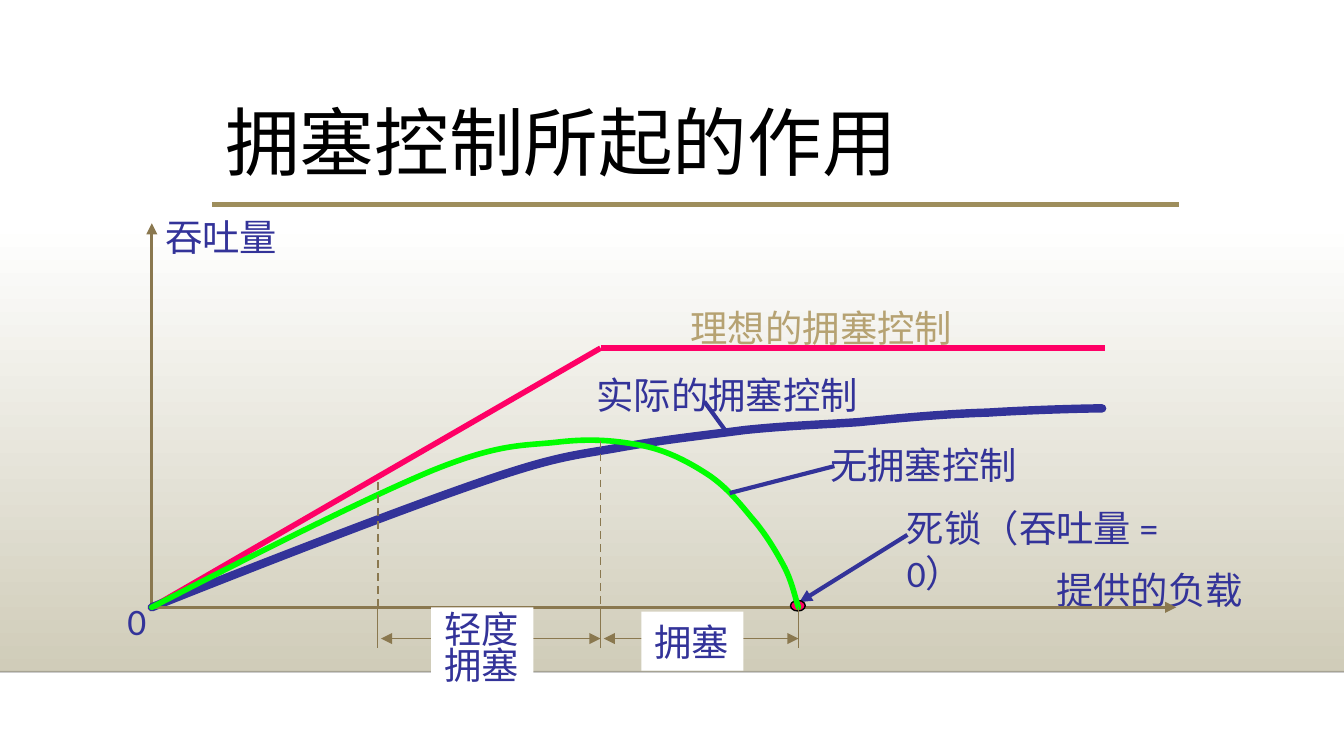
from lxml import etree
from pptx import Presentation
from pptx.dml.color import RGBColor
from pptx.enum.dml import MSO_LINE
from pptx.enum.shapes import MSO_CONNECTOR, MSO_SHAPE
from pptx.enum.text import MSO_ANCHOR
from pptx.oxml.ns import qn
from pptx.util import Cm, Pt

STRAIGHT = MSO_CONNECTOR.STRAIGHT
RECTANGLE, OVAL = MSO_SHAPE.RECTANGLE, MSO_SHAPE.OVAL
DASH = MSO_LINE.DASH
TOP, MIDDLE = MSO_ANCHOR.TOP, MSO_ANCHOR.MIDDLE

COLORS = {
    "white": "FFFFFF", "black": "000000", "band": "D0CCB9", "rule": "9E8E5C",
    "axis": "8A784F", "navy": "333399", "ideal": "FF0066",
    "ideal_label": "B6A272", "uncontrolled": "00FF00",
}

SLIDE_W, SLIDE_H = 25.4, 14.29
BAND_TOP, BAND_BOTTOM = 4.19, 12.7
ORIGIN_X, ORIGIN_Y = 2.87, 11.48
MILD_X, CONGESTED_X, DEADLOCK_X = 7.14, 11.35, 15.09
IDEAL_Y, SPAN_Y, TICK_BOTTOM = 6.58, 12.07, 12.24
LABEL_H = 1.12

# Bezier points after the origin: two controls and an end for each segment
CONTROLLED_CURVE = [
    (5.23, 10.54), (7.59, 9.63), (9.07, 9.12),
    (10.54, 8.61), (10.87, 8.61), (11.71, 8.46),
    (12.55, 8.31), (13.31, 8.23), (14.07, 8.13),
    (14.83, 8.05), (15.47, 8.03), (16.23, 7.98),
    (17.02, 7.9), (17.91, 7.82), (18.67, 7.8),
    (19.43, 7.75), (20.52, 7.72), (20.83, 7.72),
]
UNCONTROLLED_CURVE = [
    (4.88, 10.44), (6.91, 9.42), (8.18, 8.89),
    (9.45, 8.38), (9.86, 8.43), (10.52, 8.36),
    (11.18, 8.28), (11.68, 8.33), (12.17, 8.43),
    (12.65, 8.53), (13.06, 8.76), (13.41, 8.99),
    (13.74, 9.22), (13.97, 9.5), (14.2, 9.78),
    (14.45, 10.06), (14.66, 10.41), (14.81, 10.69),
    (14.96, 10.97), (15.01, 11.23), (DEADLOCK_X, ORIGIN_Y),
]


def rgb(name):
    return RGBColor.from_string(COLORS[name])


def write_text(frame, text, size=20, font="Calibri", color="navy",
               spacing=1.0, wrap=False, anchor=TOP):
    """Fill a text frame, one paragraph for each line of text."""
    frame.word_wrap = wrap
    frame.vertical_anchor = anchor
    frame.margin_left = frame.margin_right = Cm(0.25)
    frame.margin_top = frame.margin_bottom = Cm(0.13)
    frame.text = text
    for paragraph in frame.paragraphs:
        paragraph.line_spacing = spacing
        paragraph.font.size = Pt(size)
        paragraph.font.name = font
        paragraph.font.color.rgb = rgb(color)


class ThroughputDiagram:
    def __init__(self, slide):
        self.shapes = slide.shapes

    def stroke(self, line, color, width):
        line.color.rgb = rgb(color)
        line.width = Pt(width)

    def line(self, x1, y1, x2, y2, color="axis", width=0.75,
             dash=None, arrows=(), alpha=None):
        connector = self.shapes.add_connector(
            STRAIGHT, Cm(x1), Cm(y1), Cm(x2), Cm(y2))
        self.stroke(connector.line, color, width)
        if dash:
            connector.line.dash_style = dash
        properties = connector._element.spPr
        outline = properties.find(qn("a:ln"))
        for end in arrows:
            etree.SubElement(outline, qn(f"a:{end}"), type="triangle")
        if alpha:
            tint = outline.find(".//" + qn("a:srgbClr"))
            etree.SubElement(tint, qn("a:alpha"), val=str(alpha * 1000))
        etree.SubElement(properties, qn("a:effectLst"))

    def label(self, text, x, y, w, h=LABEL_H, **style):
        box = self.shapes.add_textbox(Cm(x), Cm(y), Cm(w), Cm(h))
        write_text(box.text_frame, text, **style)

    def shape(self, kind, x, y, w, h, fill="white", text="", **style):
        shape = self.shapes.add_shape(kind, Cm(x), Cm(y), Cm(w), Cm(h))
        shape.shadow.inherit = False
        shape.fill.solid()
        shape.fill.fore_color.rgb = rgb(fill)
        shape.line.fill.background()
        if text:
            write_text(shape.text_frame, text, **style)
            for paragraph in shape.text_frame.paragraphs:
                paragraph.alignment = 1
        return shape

    def band(self):
        fill = self.shape(RECTANGLE, 0, BAND_TOP, SLIDE_W,
                          BAND_BOTTOM - BAND_TOP).fill
        fill.gradient()
        fill.gradient_angle = 270
        for stop, (position, color) in zip(
                fill.gradient_stops, ((0, "white"), (1, "band"))):
            stop.position = position
            stop.color.rgb = rgb(color)

    def curve(self, points, color, width):
        """Draw a smooth curve from the origin by turning each three line steps into a Bezier."""
        builder = self.shapes.build_freeform(Cm(ORIGIN_X), Cm(ORIGIN_Y))
        builder.add_line_segments([(Cm(x), Cm(y)) for x, y in points], close=False)
        shape = builder.convert_to_shape()
        shape.shadow.inherit = False
        shape.fill.background()
        self.stroke(shape.line, color, width)
        shape._element.spPr.find(qn("a:ln")).set("cap", "rnd")
        outline = shape._element.find(".//" + qn("a:path"))
        steps = outline.findall(qn("a:lnTo"))
        for start in range(0, len(steps), 3):
            bezier = etree.SubElement(outline, qn("a:cubicBezTo"))
            for step in steps[start:start + 3]:
                bezier.append(step[0])
                outline.remove(step)


def main():
    presentation = Presentation()
    presentation.slide_width, presentation.slide_height = Cm(SLIDE_W), Cm(SLIDE_H)
    diagram = ThroughputDiagram(
        presentation.slides.add_slide(presentation.slide_layouts[6]))

    diagram.band()
    diagram.line(0, BAND_BOTTOM, SLIDE_W, BAND_BOTTOM, "black", 1, alpha=20)
    diagram.line(4.01, 3.86, 22.28, 3.86, "rule", 2.5)
    diagram.label("拥塞控制所起的作用", 4.01, 1.68, 18.26, 2.18, size=40,
                  font="Times New Roman", color="black", spacing=0.9,
                  wrap=True, anchor=MIDDLE)

    diagram.line(ORIGIN_X, ORIGIN_Y, ORIGIN_X, 4.22, width=1.5, arrows=["tailEnd"])
    diagram.label("提供的负载", 19.71, 10.59, 4.06)
    diagram.label("吞吐量", 2.87, 3.91, 2.64)

    diagram.line(ORIGIN_X, ORIGIN_Y, CONGESTED_X, IDEAL_Y, "ideal", 3)
    diagram.line(CONGESTED_X, IDEAL_Y, 20.88, IDEAL_Y, "ideal", 3)
    diagram.label("理想的拥塞控制", 12.8, 5.64, 5.49, color="ideal_label")

    diagram.curve(CONTROLLED_CURVE, "navy", 4.5)
    diagram.label("实际的拥塞控制", 11.02, 6.91, 5.49)
    diagram.line(13.31, 7.59, 13.74, 8.18, "navy", 2.25)

    diagram.line(ORIGIN_X, ORIGIN_Y, 22.23, ORIGIN_Y, width=1.5, arrows=["tailEnd"])
    diagram.label("0", 2.16, 11.18, 0.86)

    diagram.label("死锁（吞吐量 = 0）", 16.89, 9.42, 6.1, wrap=True)
    diagram.line(17.15, 10.11, 15.11, 11.38, "navy", 2.25, arrows=["tailEnd"])
    deadlock = diagram.shape(OVAL, 14.94, 11.35, 0.28, 0.2, "ideal")
    diagram.stroke(deadlock.line, "black", 0.75)

    for left, right in ((MILD_X, CONGESTED_X), (CONGESTED_X, DEADLOCK_X)):
        diagram.line(left + 0.06, SPAN_Y, right, SPAN_Y,
                     arrows=["headEnd", "tailEnd"])
    diagram.curve(UNCONTROLLED_CURVE, "uncontrolled", 3)
    diagram.label("无拥塞控制", 15.44, 8.23, 4.06)
    diagram.line(15.77, 8.81, 13.79, 9.32, "navy", 2.25)

    for x, top in ((MILD_X, 9.12), (CONGESTED_X, 8.33)):
        diagram.line(x, top, x, ORIGIN_Y, width=1, dash=DASH)
    for x in (MILD_X, CONGESTED_X, DEADLOCK_X):
        diagram.line(x, ORIGIN_Y, x, TICK_BOTTOM)
    diagram.shape(RECTANGLE, 12.12, 11.56, 1.93, LABEL_H, text="拥塞", anchor=MIDDLE)
    diagram.shape(RECTANGLE, 8.15, 11.48, 1.93, 1.63, text="轻度\n拥塞",
                  spacing=0.8, anchor=MIDDLE)
    presentation.save("out.pptx")


if __name__ == "__main__":
    main()
